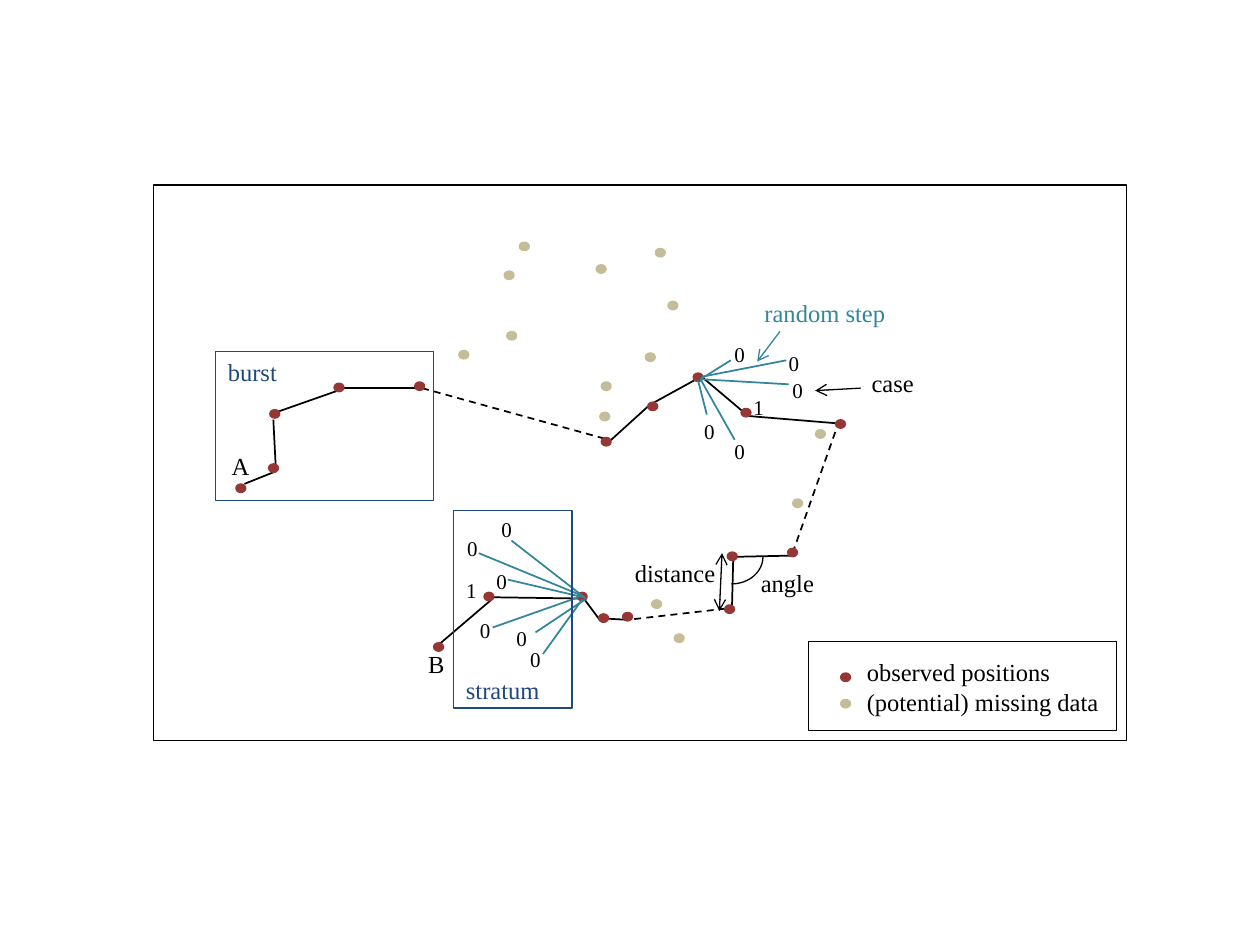
from pptx import Presentation
from pptx.dml.color import RGBColor
from pptx.enum.dml import MSO_LINE
from pptx.enum.shapes import MSO_CONNECTOR, MSO_SHAPE
from pptx.enum.text import MSO_AUTO_SIZE
from pptx.oxml.ns import qn
from pptx.util import Pt
from lxml.etree import SubElement

COLORS = {"black": "000000", "observed": "953735", "missing": "C4BD97",
          "box": "1F497D", "random": "31859C"}
FONT = "Times New Roman"
DOT_WIDTH, DOT_HEIGHT = 4.4, 3.6
DIGIT_SIZE = (20.2, 21.6)
LABEL_HEIGHT = 24.5

# Lines: start x, start y, end x, end y
OBSERVED_STEPS = [
    (139.7, 276.5, 157.7, 269.3), (157.7, 269.3, 156.2, 239.8),
    (158.4, 235.4, 195.1, 222.5), (195.8, 221.8, 237.6, 221.8),
    (348.5, 252, 370.8, 231.8), (373, 230.4, 396.7, 217.4),
    (401, 215.3, 424.8, 235.4), (426.2, 237.6, 478.1, 241.9),
    (419.8, 318.2, 452.9, 317.5), (419, 319, 418.3, 347),
    (280.8, 342.7, 251.3, 367.9), (331.2, 342, 281.5, 341.3),
    (342.7, 354.2, 334.1, 342.7), (358.6, 354.2, 346.3, 353.5),
]
GAPS = [(241.2, 221.8, 347.8, 251.3), (452.9, 316.1, 478.8, 242.6),
        (414.7, 347.8, 358.6, 354.2)]
RANDOM_STEPS = [
    (290.2, 331.2, 333.4, 341.3), (306, 361.4, 334.1, 342.7),
    (281.5, 358.6, 330.5, 341.3), (273.6, 316.1, 331.2, 339.8),
    (310.3, 373.7, 332.6, 342.7), (334.8, 342, 292.3, 308.9),
    (450.7, 219.6, 400.3, 216.7), (449.3, 205.9, 401, 215.3),
    (417.6, 205.9, 400.3, 216.7), (419.8, 251.3, 400.3, 216.7),
    (403.9, 236.9, 398.9, 217.4),
]
# Arrows: line, colour, arrowheads
ARROWS = [
    ((445.7, 189.4, 432.7, 206.6), "random", ("tailEnd",)),
    ((491.8, 221.8, 465.8, 223.2), "black", ("tailEnd",)),
    ((412.6, 316.1, 411.1, 349.2), "black", ("headEnd", "tailEnd")),
]
# Dots: centre x, centre y; the last of each kind is the legend key
DOTS = {
    "observed": [
        (398.9, 215.6), (373, 232.2), (346.4, 252.4), (239.8, 220.7),
        (157, 236.5), (193.7, 221.4), (156.3, 267.5), (480.3, 242.3),
        (452.9, 315.7), (426.3, 235.8), (416.9, 348.1), (332.7, 340.9),
        (418.4, 317.9), (358.6, 352.4), (344.9, 353.2), (279.4, 340.9),
        (250.6, 369.7), (137.6, 279), (483.2, 387)],
    "missing": [
        (265, 202.7), (292.4, 191.9), (346.4, 220.7), (345.6, 238),
        (388.1, 364.7), (455.8, 287.6), (468.8, 248), (375.2, 345.2),
        (290.9, 157.3), (299.6, 140.8), (343.5, 153.7), (377.3, 144.4),
        (384.5, 174.6), (371.6, 204.1), (483.2, 402.1)],
}
# Boxes: left, top, width, height, colour
BOXES = [
    (123.1, 200.9, 124.6, 85, "box"), (259.2, 291.6, 67.7, 113, "box"),
    (462.2, 366.5, 175.7, 51.1, "black"), (87.8, 105.8, 555.8, 317.5, "black"),
]
ANGLE_ARC = (402.5, 300.2, 31, 36)
# Case digits: left, top
DIGITS = {
    "0": [(279.4, 291.6), (276.5, 321.1), (259.9, 302.4), (288, 354.2),
          (267.1, 349.2), (295.9, 365.8), (412.6, 191.5), (395.3, 235.4),
          (445.7, 212.4), (443.5, 196.6), (412.6, 247)],
    "1": [(259.2, 326.2), (423.4, 221.8)],
}
# Labels: text, left, top, width, colour
LABELS = [
    ("burst", 123.1, 200.2, 67.7, "box"),
    ("stratum", 259.2, 382.3, 67.7, "box"),
    ("random step", 429.8, 167, 100.8, "random"),
    ("case", 491, 206.6, 100.8, "black"),
    ("A", 125.3, 254.2, 28.8, "black"),
    ("B", 237.6, 367.2, 28.8, "black"),
    ("angle", 427.7, 321.1, 57.6, "black"),
    ("distance", 355.7, 315.4, 61.2, "black"),
]
LEGEND = ["observed positions", "(potential) missing data"]
LEGEND_FRAME = (488.2, 372.2, 167, 41)


def color(name):
    return RGBColor.from_string(COLORS[name])


def add_line(slide, ends, color_name, width=1, dashed=False, heads=()):
    line = slide.shapes.add_connector(MSO_CONNECTOR.STRAIGHT, *map(Pt, ends))
    line.line.color.rgb = color(color_name)
    line.line.width = Pt(width)
    if dashed:
        line.line.dash_style = MSO_LINE.DASH
    for head in heads:
        SubElement(line.line._get_or_add_ln(), qn(f"a:{head}"), type="arrow")
    SubElement(line._element.spPr, qn("a:effectLst"))


def add_outline(slide, kind, frame, color_name, width=0.75, filled=False):
    shape = slide.shapes.add_shape(kind, *map(Pt, frame))
    shape.shadow.inherit = False
    shape.line.color.rgb = color(color_name)
    shape.line.width = Pt(width)
    if filled:
        shape.fill.solid()
        shape.fill.fore_color.rgb = color(color_name)
    else:
        shape.fill.background()
    return shape


def add_text(slide, lines, frame, color_name="black", size=14):
    text_frame = slide.shapes.add_textbox(*map(Pt, frame)).text_frame
    text_frame.word_wrap = True
    text_frame.auto_size = MSO_AUTO_SIZE.SHAPE_TO_FIT_TEXT
    for index, line in enumerate(lines):
        paragraph = text_frame.add_paragraph() if index else text_frame.paragraphs[0]
        run = paragraph.add_run()
        run.text = line
        run.font.name = FONT
        run.font.size = Pt(size)
        run.font.color.rgb = color(color_name)


def main():
    presentation = Presentation()
    presentation.slide_width, presentation.slide_height = Pt(720), Pt(540)
    slide = presentation.slides.add_slide(presentation.slide_layouts[6])

    # Tracks
    for ends in OBSERVED_STEPS:
        add_line(slide, ends, "black")
    for ends in GAPS:
        add_line(slide, ends, "black", dashed=True)

    # Positions
    for kind, centres in DOTS.items():
        for x, y in centres:
            frame = (x - DOT_WIDTH / 2, y - DOT_HEIGHT / 2, DOT_WIDTH, DOT_HEIGHT)
            add_outline(slide, MSO_SHAPE.OVAL, frame, kind, 2, filled=True)

    # Random steps and pointers
    for ends in RANDOM_STEPS:
        add_line(slide, ends, "random")
    for ends, color_name, heads in ARROWS:
        add_line(slide, ends, color_name, 0.75, heads=heads)

    # Boxes and angle arc
    for *frame, color_name in BOXES:
        add_outline(slide, MSO_SHAPE.RECTANGLE, frame, color_name)
    add_outline(slide, MSO_SHAPE.ARC, ANGLE_ARC, "black").rotation = 90

    # Text
    for digit, corners in DIGITS.items():
        for corner in corners:
            add_text(slide, [digit], corner + DIGIT_SIZE, size=12)
    for text, left, top, width, color_name in LABELS:
        add_text(slide, [text], (left, top, width, LABEL_HEIGHT), color_name)
    add_text(slide, LEGEND, LEGEND_FRAME)

    presentation.save("out.pptx")


if __name__ == "__main__":
    main()
